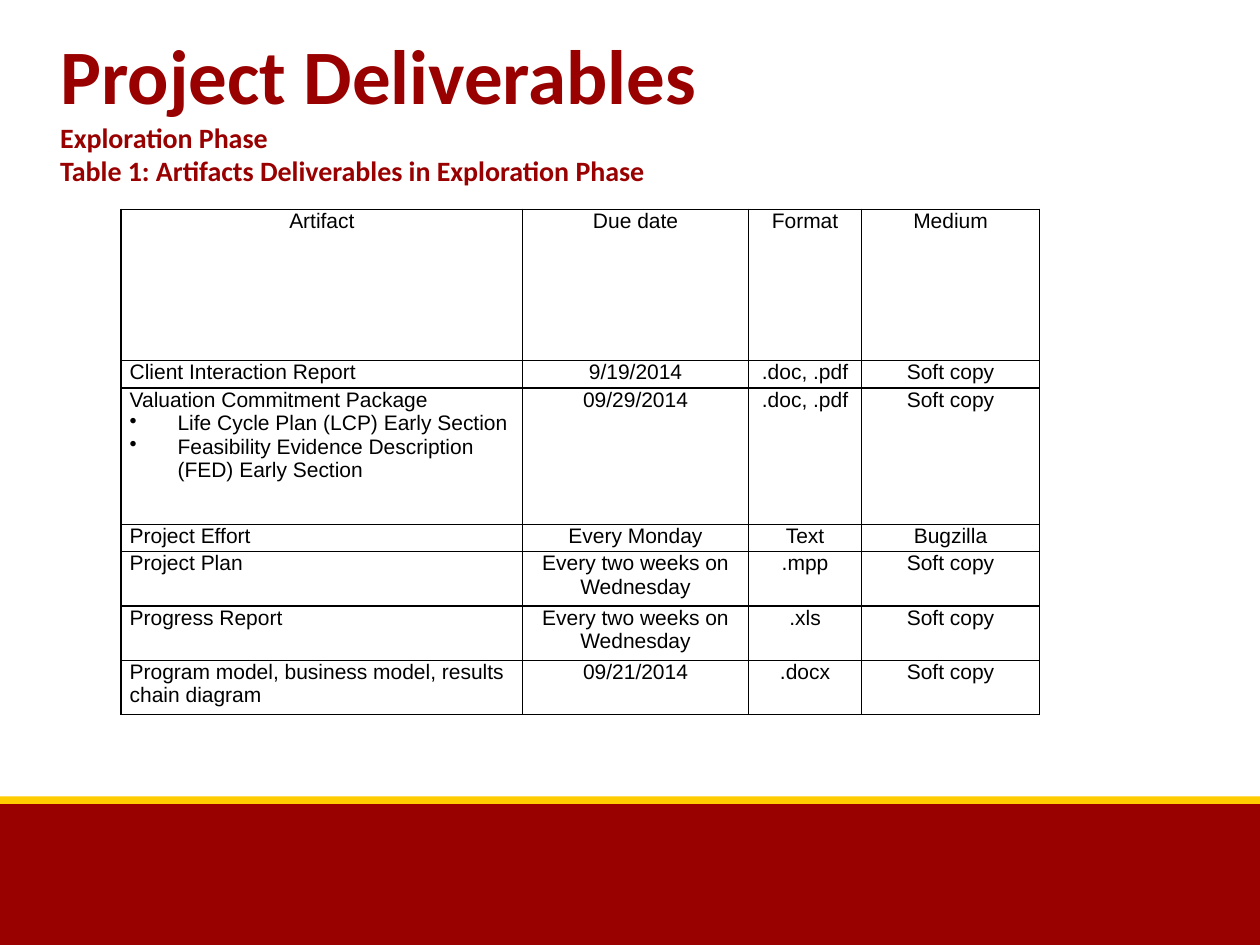
from dataclasses import dataclass

import pptx
import pptx.dml.color
import pptx.enum.shapes
import pptx.enum.text
import pptx.oxml
import pptx.oxml.ns
import pptx.util
from pptx.util import Inches

CARDINAL = pptx.dml.color.RGBColor(0x99, 0x00, 0x00)
GOLD = pptx.dml.color.RGBColor(0xFF, 0xCC, 0x00)
BLACK = pptx.dml.color.RGBColor(0x00, 0x00, 0x00)
DRAWING_NAMESPACE = pptx.oxml.ns.nsdecls("a")


@dataclass
class Band:
    top: float
    height: float
    color: pptx.dml.color.RGBColor


@dataclass
class Deliverable:
    artifact: str
    due_date: str
    file_format: str
    medium: str
    row_height: float
    sections: tuple[str, ...] = ()


BANDS = [Band(6.35, 1.15, CARDINAL), Band(6.32, 0.06, GOLD)]
COLUMN_WIDTHS = [3.19, 1.79, 0.9, 1.41]
HEADER = Deliverable("Artifact", "Due date", "Format", "Medium", 1.2)
DELIVERABLES = [
    Deliverable("Client Interaction Report", "9/19/2014", ".doc, .pdf", "Soft copy", 0.22),
    Deliverable(
        "Valuation Commitment Package", "09/29/2014", ".doc, .pdf", "Soft copy", 1.08,
        ("Life Cycle Plan (LCP) Early Section",
         "Feasibility Evidence Description (FED) Early Section"),
    ),
    Deliverable("Project Effort", "Every Monday", "Text", "Bugzilla", 0.22),
    Deliverable("Project Plan", "Every two weeks on Wednesday", ".mpp", "Soft copy", 0.43),
    Deliverable("Progress Report", "Every two weeks on Wednesday", ".xls", "Soft copy", 0.43),
    Deliverable("Program model, business model, results chain diagram",
                "09/21/2014", ".docx", "Soft copy", 0.43),
]


def add_band(slide, band: Band) -> None:
    shape = slide.shapes.add_shape(
        pptx.enum.shapes.MSO_SHAPE.RECTANGLE,
        0, Inches(band.top), Inches(10), Inches(band.height))
    shape.shadow.inherit = False
    shape.fill.solid()
    shape.fill.fore_color.rgb = band.color
    shape.line.fill.background()


def add_run(paragraph, text: str, font_name: str, size: float, color, bold: bool = False) -> None:
    run = paragraph.add_run()
    run.text = text
    run.font.name = font_name
    run.font.size = pptx.util.Pt(size)
    run.font.bold = bold
    run.font.color.rgb = color


def add_title(slide) -> None:
    box = slide.shapes.add_textbox(Inches(0.38), Inches(0.05), Inches(8.5), Inches(1.61))
    frame = box.text_frame
    frame.word_wrap = True
    frame.vertical_anchor = pptx.enum.text.MSO_ANCHOR.MIDDLE
    frame.margin_left = frame.margin_right = Inches(0.1)
    frame.margin_top = frame.margin_bottom = Inches(0.1)
    paragraph = frame.paragraphs[0]
    add_run(paragraph, "Project Deliverables", "Calibri", 44, CARDINAL, bold=True)
    for line in ("Exploration Phase", "Table 1: Artifacts Deliverables in Exploration Phase"):
        paragraph.add_line_break()
        add_run(paragraph, line, "Calibri", 16, CARDINAL, bold=True)


def add_bullet(paragraph) -> None:
    properties = paragraph._p.get_or_add_pPr()
    properties.set("marL", str(Inches(0.38)))
    properties.set("indent", str(-Inches(0.38)))
    properties.append(pptx.oxml.parse_xml(f'<a:buChar {DRAWING_NAMESPACE} char="•"/>'))


def format_cell(cell) -> None:
    """Set the margins, the thin black borders and the empty fill."""
    cell.margin_left = cell.margin_right = Inches(0.07)
    cell.margin_top = cell.margin_bottom = 0
    properties = cell._tc.get_or_add_tcPr()
    for edge in ("lnL", "lnR", "lnT", "lnB"):
        properties.append(pptx.oxml.parse_xml(
            f'<a:{edge} {DRAWING_NAMESPACE} w="{pptx.util.Pt(0.75)}">'
            f'<a:solidFill><a:srgbClr val="{BLACK}"/></a:solidFill></a:{edge}>'))
    cell.fill.background()


def fill_row(table, row_index: int, deliverable: Deliverable) -> None:
    table.rows[row_index].height = Inches(deliverable.row_height)
    texts = (deliverable.artifact, deliverable.due_date,
             deliverable.file_format, deliverable.medium)
    for column_index, text in enumerate(texts):
        cell = table.cell(row_index, column_index)
        format_cell(cell)
        paragraph = cell.text_frame.paragraphs[0]
        if row_index == 0 or column_index > 0:
            paragraph.alignment = pptx.enum.text.PP_ALIGN.CENTER
        add_run(paragraph, text, "Arial", 12, BLACK)
    for section in deliverable.sections:
        paragraph = table.cell(row_index, 0).text_frame.add_paragraph()
        add_bullet(paragraph)
        add_run(paragraph, section, "Arial", 12, BLACK)


def add_deliverables_table(slide) -> None:
    rows = [HEADER, *DELIVERABLES]
    table = slide.shapes.add_table(
        len(rows), len(COLUMN_WIDTHS), Inches(0.96), Inches(1.66),
        Inches(sum(COLUMN_WIDTHS)), Inches(sum(row.row_height for row in rows))).table
    table.first_row = False
    table.horz_banding = False
    for column, width in zip(table.columns, COLUMN_WIDTHS):
        column.width = Inches(width)
    for row_index, deliverable in enumerate(rows):
        fill_row(table, row_index, deliverable)


def main() -> None:
    presentation = pptx.Presentation()
    presentation.slide_width = Inches(10)
    presentation.slide_height = Inches(7.5)
    slide = presentation.slides.add_slide(presentation.slide_layouts[6])
    for band in BANDS:
        add_band(slide, band)
    add_deliverables_table(slide)
    add_title(slide)
    presentation.save("out.pptx")


if __name__ == "__main__":
    main()
